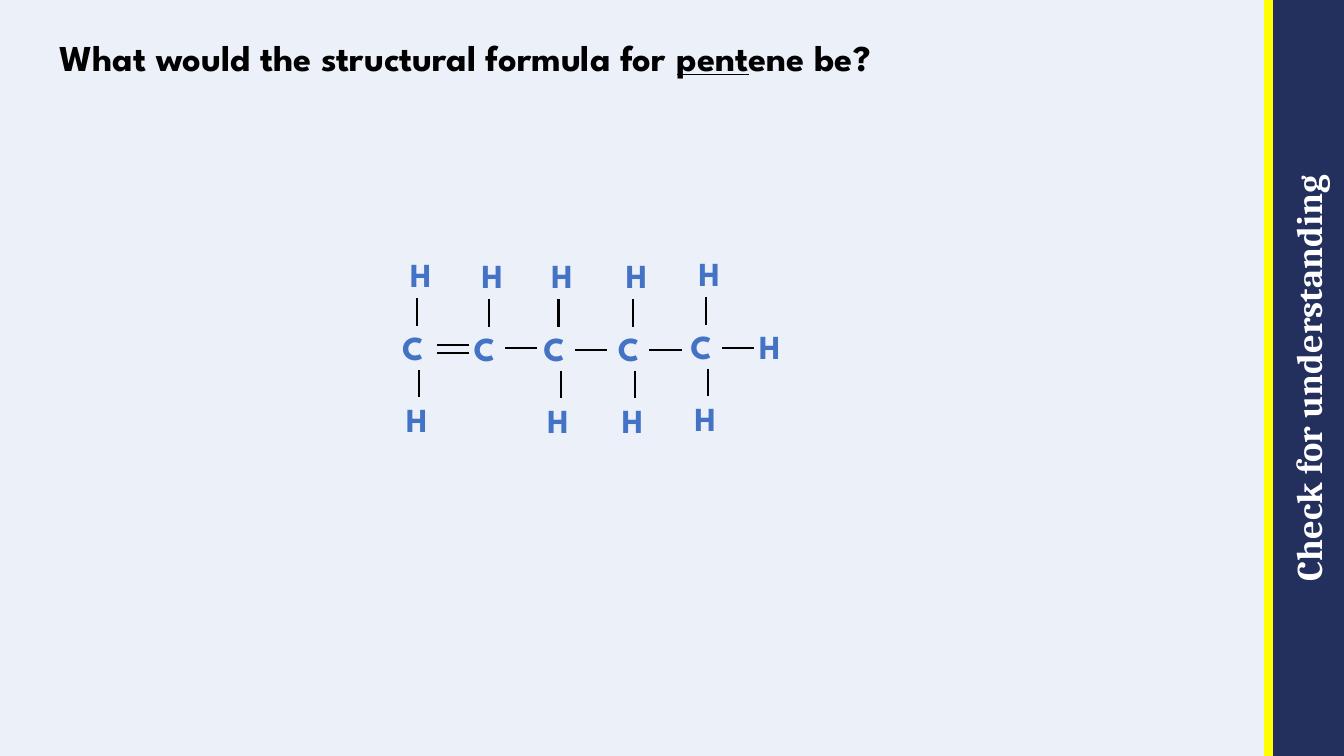
from lxml import etree
from pptx import Presentation
from pptx.dml.color import RGBColor
from pptx.enum.shapes import MSO_CONNECTOR, MSO_SHAPE
from pptx.enum.text import MSO_ANCHOR, MSO_AUTO_SIZE, PP_ALIGN
from pptx.oxml.ns import qn
from pptx.util import Inches, Pt

STRAIGHT = MSO_CONNECTOR.STRAIGHT
RECTANGLE = MSO_SHAPE.RECTANGLE
MIDDLE, BOTTOM = MSO_ANCHOR.MIDDLE, MSO_ANCHOR.BOTTOM
GROW = MSO_AUTO_SIZE.SHAPE_TO_FIT_TEXT
CENTER = PP_ALIGN.CENTER

PALE_BLUE = RGBColor(0xEC, 0xF1, 0xF9)
NAVY = RGBColor(0x23, 0x2F, 0x5D)
YELLOW = RGBColor(0xFF, 0xFF, 0x00)
ATOM_BLUE = RGBColor(0x44, 0x72, 0xC4)
BLACK = RGBColor(0x00, 0x00, 0x00)
WHITE = RGBColor(0xFF, 0xFF, 0xFF)

HEADING_FONT = "League Spartan"
BANNER_FONT = "Cambria"

ATOM_WIDTHS = {"C": 0.48, "H": 0.43}
# Left and top of each carbon along the chain
CARBONS = [(3.89, 3.19), (4.6, 3.2), (5.29, 3.2), (6.03, 3.2), (6.75, 3.18)]
DOUBLE_BONDED = 1  # the carbon without a lower hydrogen
# Left and height of each horizontal bond; the first two are the double bond
CHAIN_BONDS = [(4.33, 3.42), (4.33, 3.5), (5.01, 3.45),
               (5.7, 3.47), (6.44, 3.47), (7.16, 3.45)]
BOND_LENGTH = 0.32
SIDE_BOND_LENGTH = 0.27


def style_font(font, name, size, color):
    font.name = name
    font.size = Pt(size)
    font.bold = True
    font.color.rgb = color


def clear_margins(frame):
    frame.margin_left = frame.margin_right = 0
    frame.margin_top = frame.margin_bottom = 0


def add_line(slide, x1, y1, x2, y2, color=BLACK, weight=1.5):
    line = slide.shapes.add_connector(
        STRAIGHT, Inches(x1), Inches(y1), Inches(x2), Inches(y2))
    line.line.color.rgb = color
    line.line.width = Pt(weight)
    etree.SubElement(line._element.spPr, qn("a:effectLst"))


def add_atom(slide, symbol, left, top):
    atom = slide.shapes.add_textbox(
        Inches(left), Inches(top), Inches(ATOM_WIDTHS[symbol]), Inches(0.5))
    frame = atom.text_frame
    frame.word_wrap = False
    frame.auto_size = GROW
    label = frame.paragraphs[0]
    label.text = symbol
    style_font(label.font, HEADING_FONT, 24, ATOM_BLUE)


def add_banner(slide):
    banner = slide.shapes.add_shape(
        RECTANGLE, Inches(9.22), Inches(3.39), Inches(7.5), Inches(0.72))
    banner.rotation = 270
    banner.shadow.inherit = False
    banner.fill.solid()
    banner.fill.fore_color.rgb = NAVY
    banner.line.fill.background()
    frame = banner.text_frame
    clear_margins(frame)
    frame.vertical_anchor = MIDDLE
    label = frame.paragraphs[0]
    label.text = "Check for understanding"
    label.alignment = CENTER
    style_font(label.font, BANNER_FONT, 26, WHITE)
    add_line(slide, 12.58, 0, 12.58, 7.5, YELLOW, 6)


def add_question(slide):
    question = slide.shapes.add_textbox(
        Inches(0.59), Inches(0), Inches(11.61), Inches(0.79))
    frame = question.text_frame
    frame.word_wrap = True
    clear_margins(frame)
    frame.vertical_anchor = BOTTOM
    sentence = frame.paragraphs[0]
    sentence.line_spacing = 0.9
    for text, underlined in (("What would the structural formula for ", False),
                             ("pent", True), ("ene be?", False)):
        run = sentence.add_run()
        run.text = text
        if underlined:
            run.font.underline = True
    style_font(sentence.font, HEADING_FONT, 26, BLACK)


def add_side_hydrogen(slide, atom_left, atom_top, bond_x, bond_top):
    add_line(slide, bond_x, bond_top, bond_x, bond_top + SIDE_BOND_LENGTH)
    add_atom(slide, "H", atom_left, atom_top)


def add_pentene(slide):
    # Carbons with the hydrogens above and below them
    for index, (left, top) in enumerate(CARBONS):
        add_atom(slide, "C", left, top)
        add_side_hydrogen(slide, left + 0.08, top - 0.72, left + 0.25, top - 0.23)
        if index != DOUBLE_BONDED:
            add_side_hydrogen(slide, left + 0.04, top + 0.72, left + 0.27, top + 0.48)
    # Bonds along the chain and the hydrogen at its end
    for left, height in CHAIN_BONDS:
        add_line(slide, left, height, left + BOND_LENGTH, height)
    add_atom(slide, "H", 7.43, 3.18)


def main():
    prs = Presentation()
    prs.slide_width = Inches(13.33)
    prs.slide_height = Inches(7.5)
    slide = prs.slides.add_slide(prs.slide_layouts[6])
    slide.background.fill.solid()
    slide.background.fill.fore_color.rgb = PALE_BLUE
    add_banner(slide)
    add_question(slide)
    add_pentene(slide)
    prs.save("out.pptx")


if __name__ == "__main__":
    main()
